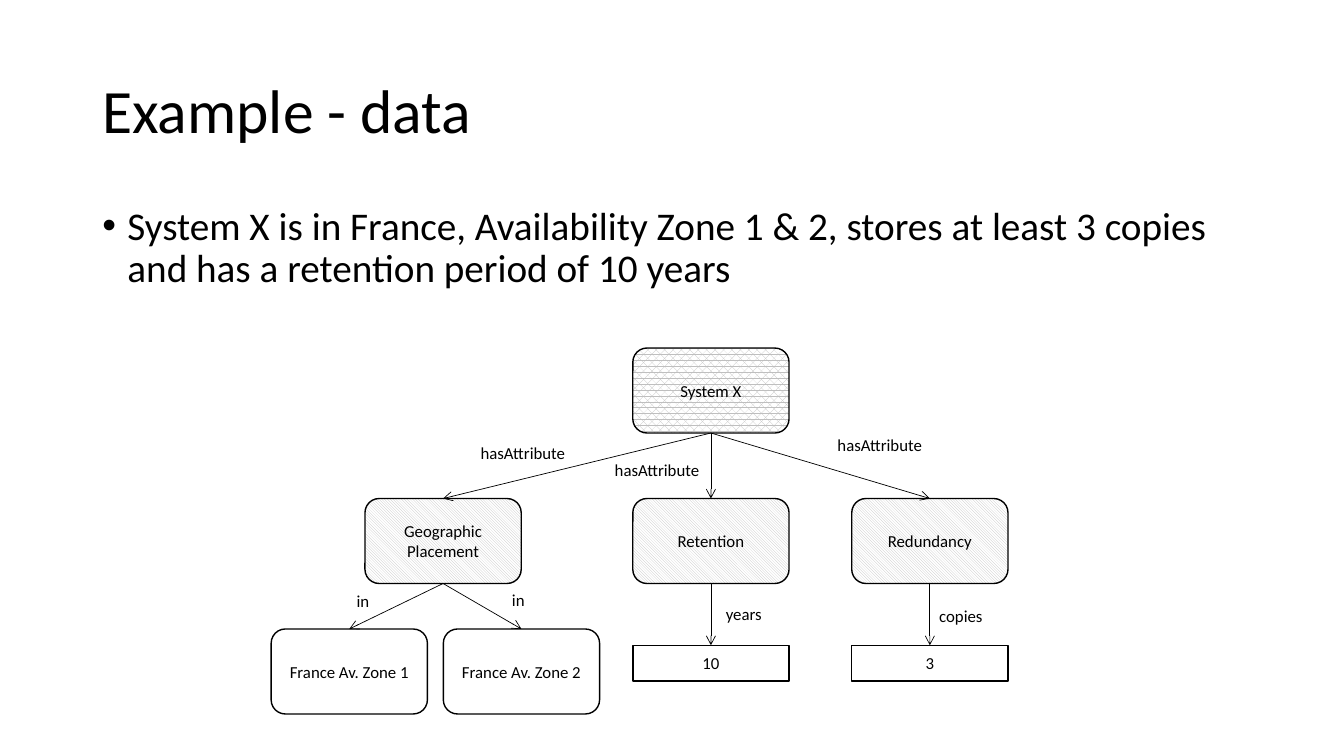
from pptx import Presentation
from pptx.dml.color import RGBColor
from pptx.enum.dml import MSO_PATTERN
from pptx.enum.shapes import MSO_CONNECTOR, MSO_SHAPE
from pptx.enum.text import MSO_ANCHOR, MSO_AUTO_SIZE, PP_ALIGN
from pptx.oxml.ns import qn
from pptx.util import Pt
from lxml.etree import SubElement

TITLE = "Example - data"
STATEMENT = ("System X is in France, Availability Zone 1 & 2, stores at least "
             "3 copies and has a retention period of 10 years")

NODES = {
    "system": ("System X", "root", 507.8),
    "placement": ("Geographic Placement", "attribute", 316.5),
    "retention": ("Retention", "attribute", 507.8),
    "redundancy": ("Redundancy", "attribute", 664.2),
    "zone1": ("France Av. Zone 1", "zone", 249.5),
    "zone2": ("France Av. Zone 2", "zone", 372.5),
    "years": ("10", "value", 507.8),
    "copies": ("3", "value", 664.2),
}
RELATIONS = [
    ("system", "placement", "hasAttribute", 336.2, 312.5),
    ("system", "retention", "hasAttribute", 432, 324.7),
    ("system", "redundancy", "hasAttribute", 591.1, 306.7),
    ("placement", "zone1", "in", 247.7, 418.3),
    ("placement", "zone2", "in", 358.6, 417.6),
    ("retention", "years", "years", 511.4, 427.7),
    ("redundancy", "copies", "copies", 663.8, 429.1),
]
LEVELS = {
    "root": dict(outline=MSO_SHAPE.ROUNDED_RECTANGLE, top=248.6, height=60.7,
                 fill=MSO_PATTERN.PERCENT_60),
    "attribute": dict(outline=MSO_SHAPE.ROUNDED_RECTANGLE, top=356.1, height=60.7,
                      fill=MSO_PATTERN.LIGHT_DOWNWARD_DIAGONAL),
    "zone": dict(outline=MSO_SHAPE.ROUNDED_RECTANGLE, top=449.3, height=60.7, fill=None),
    "value": dict(outline=MSO_SHAPE.RECTANGLE, top=460.9, height=25.5, fill="paper"),
}
THEME = {
    "ink": RGBColor(0, 0, 0),
    "paper": RGBColor(255, 255, 255),
    "hatch": RGBColor(191, 191, 191),
    "font": "Calibri",
    "title": Pt(44),
    "body": Pt(28),
    "label": Pt(12),
    "border": Pt(1),
    "arrow": Pt(0.5),
}
NODE_WIDTH = 111.6
BOTTOM_SITE, TOP_SITE = 2, 0
BULLET_INDENT = Pt(18)


def apply(target, values):
    for name, value in values.items():
        setattr(target, name, value)


def write(shape, text, size, frame_format, paragraph_format):
    frame = shape.text_frame
    apply(frame, frame_format)
    paragraph = frame.paragraphs[0]
    apply(paragraph, paragraph_format)
    run = paragraph.add_run()
    run.text = text
    apply(run.font, {"name": THEME["font"], "size": THEME[size]})
    run.font.color.rgb = THEME["ink"]
    return paragraph


def ink_line(line, weight):
    line.color.rgb = THEME["ink"]
    line.width = THEME[weight]


def paint(fill, style):
    if style is None:
        fill.background()
    elif style == "paper":
        fill.solid()
        fill.fore_color.rgb = THEME["paper"]
    else:
        fill.patterned()
        fill.pattern = style
        fill.fore_color.rgb = THEME["hatch"]
        fill.back_color.rgb = THEME["paper"]


def add_text(left, top, width, height, *content):
    box = shapes.add_textbox(Pt(left), Pt(top), Pt(width), Pt(height))
    return write(box, *content)


def add_node(text, level, center):
    look = LEVELS[level]
    node = shapes.add_shape(look["outline"], Pt(center - NODE_WIDTH / 2),
                            Pt(look["top"]), Pt(NODE_WIDTH), Pt(look["height"]))
    node.shadow.inherit = False
    paint(node.fill, look["fill"])
    ink_line(node.line, "border")
    write(node, text, "label",
          {"word_wrap": True, "vertical_anchor": MSO_ANCHOR.MIDDLE},
          {"alignment": PP_ALIGN.CENTER})
    return node


def add_arrow(parent, child):
    arrow = shapes.add_connector(MSO_CONNECTOR.STRAIGHT, 0, 0, 0, 0)
    arrow.begin_connect(parent, BOTTOM_SITE)
    arrow.end_connect(child, TOP_SITE)
    ink_line(arrow.line, "arrow")
    properties = arrow.element.spPr
    SubElement(properties.find(qn("a:ln")), qn("a:tailEnd"), type="arrow")
    SubElement(properties, qn("a:effectLst"))


deck = Presentation()
apply(deck, {"slide_width": Pt(960), "slide_height": Pt(540)})
shapes = deck.slides.add_slide(deck.slide_layouts[6]).shapes

add_text(66, 28.75, 828, 104.4, TITLE, "title",
         {"word_wrap": True, "vertical_anchor": MSO_ANCHOR.MIDDLE},
         {"line_spacing": 0.9})
statement = add_text(66, 143.75, 828, 342.6, STATEMENT, "body",
                     {"word_wrap": True},
                     {"line_spacing": 0.9, "space_before": Pt(10)})
bullet = statement._p.get_or_add_pPr()
bullet.set("marL", str(BULLET_INDENT))
bullet.set("indent", str(-BULLET_INDENT))
SubElement(bullet, qn("a:buFont"), typeface="Arial")
SubElement(bullet, qn("a:buChar"), char="•")

nodes = {key: add_node(*node) for key, node in NODES.items()}
for parent, child, relation, left, top in RELATIONS:
    add_arrow(nodes[parent], nodes[child])
    width = {"hasAttribute": 75.6, "in": 23.8, "years": 40.3, "copies": 46.1}[relation]
    add_text(left, top, width, 21.6, relation, "label",
             {"word_wrap": False, "auto_size": MSO_AUTO_SIZE.SHAPE_TO_FIT_TEXT}, {})

deck.save("out.pptx")
